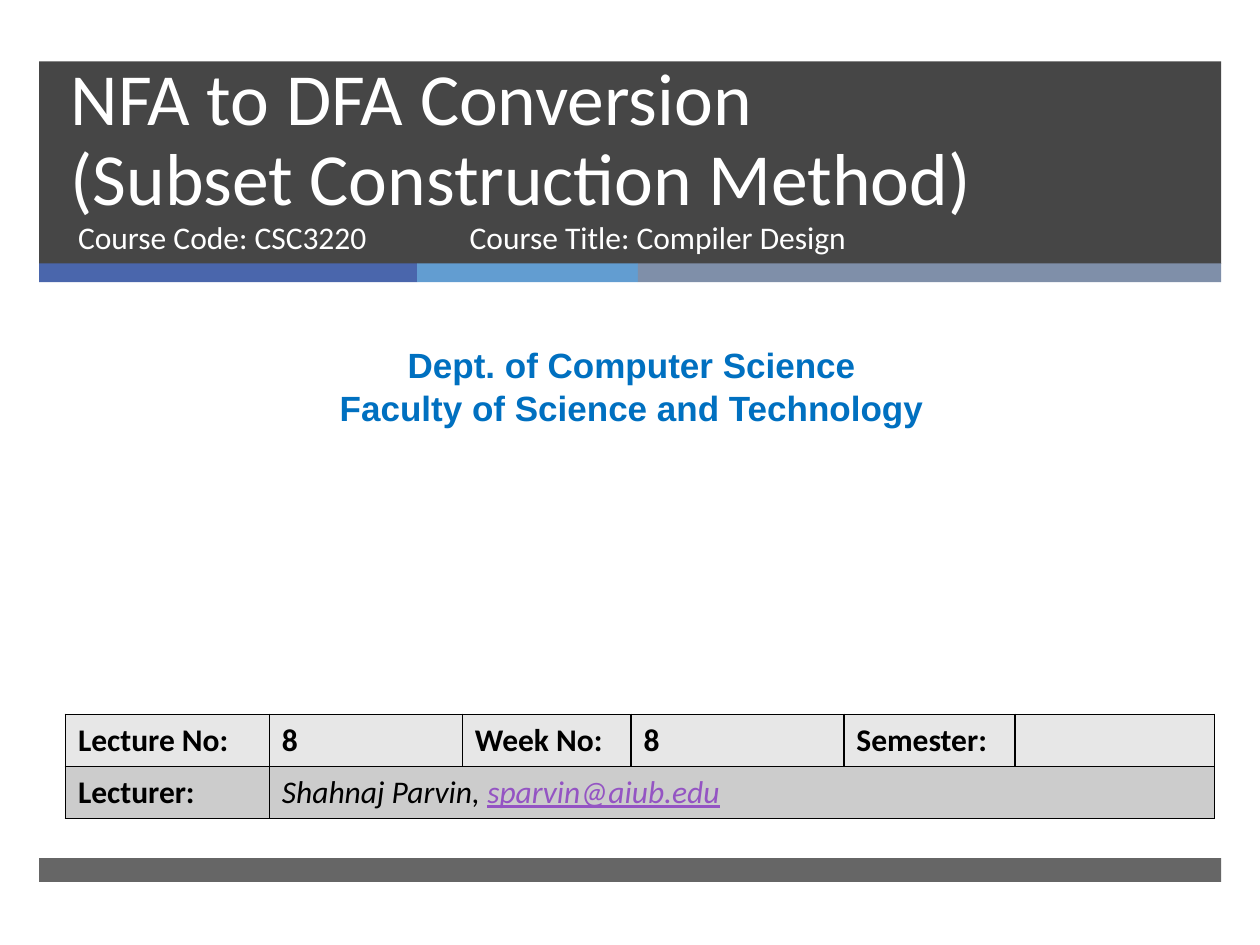
from lxml import etree
from pptx import Presentation
from pptx.dml.color import RGBColor
from pptx.enum.shapes import MSO_SHAPE
from pptx.enum.text import MSO_ANCHOR, MSO_AUTO_SIZE, PP_ALIGN
from pptx.oxml.ns import qn
from pptx.util import Cm, Pt

RECTANGLE = MSO_SHAPE.RECTANGLE
TOP, MIDDLE, BOTTOM = MSO_ANCHOR.TOP, MSO_ANCHOR.MIDDLE, MSO_ANCHOR.BOTTOM
LEFT, CENTER = PP_ALIGN.LEFT, PP_ALIGN.CENTER
NO_AUTOFIT = MSO_AUTO_SIZE.NONE

WHITE = RGBColor(0xFF, 0xFF, 0xFF)
BLACK = RGBColor(0x00, 0x00, 0x00)
CHARCOAL = RGBColor(0x26, 0x26, 0x26)
INDIGO = RGBColor(0x4A, 0x66, 0xAC)
SKY = RGBColor(0x62, 0x9D, 0xD1)
SLATE = RGBColor(0x7F, 0x8F, 0xA9)
DEPT_BLUE = RGBColor(0x00, 0x70, 0xC0)
EMAIL_PURPLE = RGBColor(0x94, 0x54, 0xC3)
LIGHT_ROW = RGBColor(0xE7, 0xE7, 0xE7)
DARK_ROW = RGBColor(0xCC, 0xCC, 0xCC)

BAND_LEFT, BAND_WIDTH = 0.79, 23.83
STRIPES = [(7.62, INDIGO), (4.45, SKY), (11.76, SLATE)]
COLUMN_WIDTHS = [4.11, 3.89, 3.4, 4.29, 3.45, 4.02]
ROW_HEIGHT = 1.05
LECTURE_DETAILS = ["Lecture No:", "8", "Week No:", "8", "Semester:", ""]


def write(paragraph, text, size=18, font="Calibri", color=WHITE, bold=False,
          italic=False, underline=False, align=LEFT, spacing=None):
    paragraph.alignment = align
    if spacing:
        paragraph.line_spacing = Pt(spacing)
    for index, line in enumerate(text.split("\n")):
        if index:
            paragraph.add_line_break()
        run = paragraph.add_run()
        run.text = line
        run.font.size = Pt(size)
        run.font.name = font
        run.font.color.rgb = color
        run.font.bold = bold
        run.font.italic = italic
        run.font.underline = underline


def add_band(slide, left, top, width, height, color, opacity=100):
    band = slide.shapes.add_shape(RECTANGLE, Cm(left), Cm(top), Cm(width), Cm(height))
    band.shadow.inherit = False
    band.line.fill.background()
    band.fill.solid()
    band.fill.fore_color.rgb = color
    if opacity < 100:
        fill_color = band.fill._xPr.find(".//" + qn("a:srgbClr"))
        etree.SubElement(fill_color, qn("a:alpha"), val=str(opacity * 1000))


def place_placeholder(slide, holder, left, top, width, height, anchor):
    holder.left, holder.top = Cm(left), Cm(top)
    holder.width, holder.height = Cm(width), Cm(height)
    frame = holder.text_frame
    frame.auto_size = NO_AUTOFIT
    frame.word_wrap = True
    frame.vertical_anchor = anchor
    slide.shapes._spTree.append(holder._element)
    return frame.paragraphs[0]


def add_textbox(slide, left, top, width, height, lines, **text_format):
    frame = slide.shapes.add_textbox(Cm(left), Cm(top), Cm(width), Cm(height)).text_frame
    frame.word_wrap = True
    for index, line in enumerate(lines):
        paragraph = frame.add_paragraph() if index else frame.paragraphs[0]
        write(paragraph, line, **text_format)


def style_cell(cell, color):
    properties = cell._tc.get_or_add_tcPr()
    for side in ("a:lnL", "a:lnR", "a:lnT", "a:lnB"):
        border = etree.SubElement(properties, qn(side), w=str(Pt(1)))
        fill = etree.SubElement(border, qn("a:solidFill"))
        etree.SubElement(fill, qn("a:srgbClr"), val=str(BLACK))
    cell.fill.solid()
    cell.fill.fore_color.rgb = color
    cell.vertical_anchor = MIDDLE


def add_lecture_table(slide, left, top):
    table = slide.shapes.add_table(
        2, len(COLUMN_WIDTHS), Cm(left), Cm(top),
        Cm(sum(COLUMN_WIDTHS)), Cm(2 * ROW_HEIGHT)).table
    table.first_row = table.horz_banding = False
    for column, width in zip(table.columns, COLUMN_WIDTHS):
        column.width = Cm(width)
    for row, color in zip(table.rows, (LIGHT_ROW, DARK_ROW)):
        row.height = Cm(ROW_HEIGHT)
        for cell in row.cells:
            style_cell(cell, color)
    for cell, detail in zip(table.rows[0].cells, LECTURE_DETAILS):
        write(cell.text_frame.paragraphs[0], detail, color=BLACK, bold=True)
    write(table.cell(1, 0).text_frame.paragraphs[0], "Lecturer:", color=BLACK, bold=True)
    lecturer = table.cell(1, 1)
    lecturer.merge(table.cell(1, len(COLUMN_WIDTHS) - 1))
    contact = lecturer.text_frame.paragraphs[0]
    write(contact, "Shahnaj Parvin, ", color=BLACK, italic=True)
    write(contact, "sparvin@aiub.edu", color=EMAIL_PURPLE, italic=True, underline=True)


def main():
    deck = Presentation()
    deck.slide_width, deck.slide_height = Cm(25.4), Cm(19.05)
    slide = deck.slides.add_slide(deck.slide_layouts[0])

    add_band(slide, BAND_LEFT, 1.24, BAND_WIDTH, 4.08, CHARCOAL, opacity=85)
    stripe_left = BAND_LEFT
    for width, color in STRIPES:
        add_band(slide, stripe_left, 5.31, width, 0.38, color)
        stripe_left += width
    add_band(slide, BAND_LEFT, 17.3, BAND_WIDTH, 0.48, CHARCOAL, opacity=70)

    title = place_placeholder(slide, slide.shapes.title, 1.17, 1.45, 21.69, 3.12, BOTTOM)
    write(title, "NFA to DFA Conversion\n(Subset Construction Method)", size=42, spacing=46)
    course_code = place_placeholder(slide, slide.placeholders[1], 1.32, 4.27, 7.75, 1.35, TOP)
    course_code.space_before = Pt(0)
    write(course_code, "Course Code: CSC3220")

    add_textbox(slide, 0.2, 6.81, 25.07, 1.96,
                ["Dept. of Computer Science", "Faculty of Science and Technology"],
                size=20, font="Arial", color=DEPT_BLUE, bold=True, align=CENTER)
    add_lecture_table(slide, 1.32, 14.4)
    add_textbox(slide, 9.22, 4.27, 11.56, 1.35, ["Course Title: Compiler Design"])

    deck.save("out.pptx")


if __name__ == "__main__":
    main()
